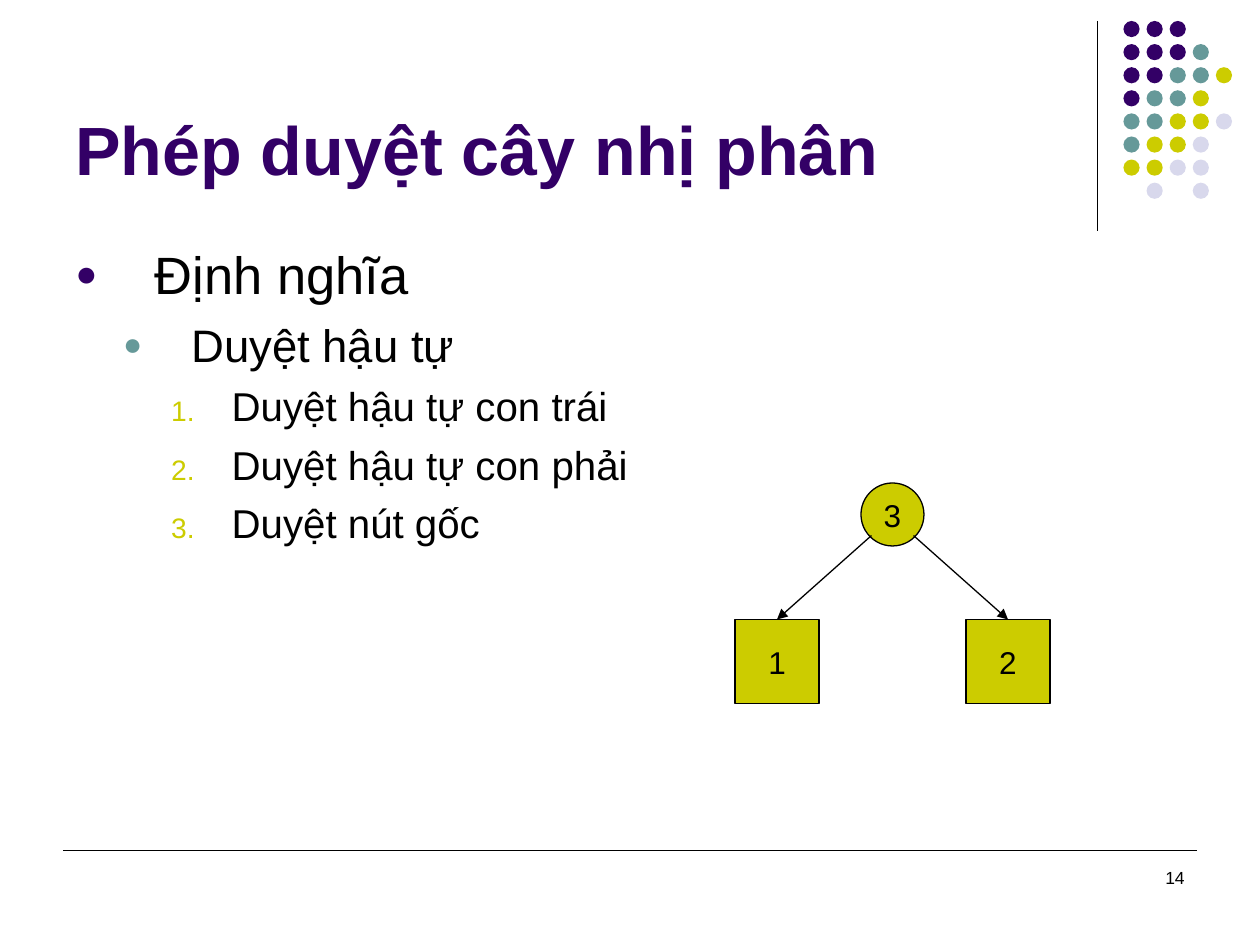
"""Build a slide on postorder traversal of a binary tree, on a 60 by 45 grid."""
from dataclasses import dataclass
from typing import Any, Optional

import lxml.etree
import pptx
import pptx.dml.color
import pptx.enum.shapes
import pptx.enum.text
import pptx.oxml.ns
import pptx.util

WIDE, HIGH = 10, 7.5
COLS = 60
FONT = "Arial"
BLACK, PLUM, TEAL, LIME, PALE = "000000", "330066", "669999", "CCCC00", "D8D8EC"
HUES = {"P": PLUM, "T": TEAL, "L": LIME, "W": PALE}
DOTS = ["PPP", "PPPT", "PPTTL", "PTTL", "TTLLW", "TLLW", "LLWW", " W W"]
STEP, SIZE = 1.1, 0.77
ALIGN = pptx.enum.text.PP_ALIGN
ANCHOR = pptx.enum.text.MSO_ANCHOR
SHAPE = pptx.enum.shapes.MSO_SHAPE


@dataclass
class Box:
    """A place on the grid, in columns and rows."""
    col: float
    row: float
    wide: float
    high: float


@dataclass
class Node:
    """A node of the tree."""
    text: str
    kind: Any
    box: Box


@dataclass
class Edge:
    """A straight line between two grid points."""
    col: float
    row: float
    end_col: float
    end_row: float
    arrow: bool = False


@dataclass
class Level:
    """The look of one outline level."""
    size: float
    left: float
    hang: float
    gap: float
    hue: str
    mark: Optional[str] = "●"


LEVELS = [
    Level(30, 0.63, 0.63, 7.5, PLUM),
    Level(26, 0.92, 0.54, 6.5, TEAL),
    Level(23, 1.24, 0.48, 5.8, LIME, None),
]
LINES = [
    (0, "Định nghĩa"),
    (1, "Duyệt hậu tự"),
    (2, "Duyệt hậu tự con trái"),
    (2, "Duyệt hậu tự con phải"),
    (2, "Duyệt nút gốc"),
]
NODES = [
    Node("3", SHAPE.OVAL, Box(41, 23, 3, 3)),
    Node("1", SHAPE.RECTANGLE, Box(35, 29.5, 4, 4)),
    Node("2", SHAPE.RECTANGLE, Box(46, 29.5, 4, 4)),
]
EDGES = [
    Edge(52.25, 1, 52.25, 11),
    Edge(3, 40.5, 57, 40.5),
    Edge(41.5, 25.5, 37, 29.5, True),
    Edge(43.5, 25.5, 48, 29.5, True),
]


def unit(count: float) -> int:
    """Turn grid cells into a length."""
    return pptx.util.Inches(count * WIDE / COLS)


def place(box: Box) -> list[int]:
    """Give left, top, width and height of a box."""
    return [unit(n) for n in (box.col, box.row, box.wide, box.high)]


def color(code: str) -> pptx.dml.color.RGBColor:
    """Turn a hex string into a colour."""
    return pptx.dml.color.RGBColor.from_string(code)


def child(parent: Any, tag: str, **attrs: str) -> Any:
    """Append a drawing element to a parent."""
    return lxml.etree.SubElement(parent, pptx.oxml.ns.qn(f"a:{tag}"), attrs)


def write(para: Any, text: str, size: float, hue: str = BLACK, bold: bool = False) -> None:
    """Add one run to a paragraph."""
    run = para.add_run()
    run.text = text
    run.font.name = FONT
    run.font.size = pptx.util.Pt(size)
    run.font.bold = bold
    run.font.color.rgb = color(hue)


def frame(slide: Any, box: Box, anchor: Any = ANCHOR.TOP) -> Any:
    """Add a wrapping text box and return its frame."""
    body = slide.shapes.add_textbox(*place(box)).text_frame
    body.word_wrap = True
    body.vertical_anchor = anchor
    return body


def solid(shapes: Any, kind: Any, box: Box, fill: str) -> Any:
    """Add a filled shape without line or shadow."""
    shape = shapes.add_shape(kind, *place(box))
    shape.shadow.inherit = False
    shape.fill.solid()
    shape.fill.fore_color.rgb = color(fill)
    shape.line.fill.background()
    return shape


def stroke(line: Any) -> None:
    """Set the thin black line."""
    line.color.rgb = color(BLACK)
    line.width = pptx.util.Pt(0.75)


def link(slide: Any, edge: Edge) -> None:
    """Draw a line, with an arrowhead if asked."""
    ends = [unit(n) for n in (edge.col, edge.row, edge.end_col, edge.end_row)]
    line = slide.shapes.add_connector(pptx.enum.shapes.MSO_CONNECTOR.STRAIGHT, *ends)
    stroke(line.line)
    if edge.arrow:
        child(line.line._get_or_add_ln(), "tailEnd", type="triangle")
    child(line._element.spPr, "effectLst")


def draw_node(slide: Any, node: Node) -> None:
    """Draw a node with its number."""
    shape = solid(slide.shapes, node.kind, node.box, LIME)
    stroke(shape.line)
    body = shape.text_frame
    body.word_wrap = False
    body.vertical_anchor = ANCHOR.MIDDLE
    body.paragraphs[0].alignment = ALIGN.CENTER
    write(body.paragraphs[0], node.text, 18)


def draw_dots(slide: Any) -> None:
    """Draw the grouped dots of the corner."""
    group = slide.shapes.add_group_shape()
    for row, line in enumerate(DOTS):
        for col, key in enumerate(line):
            if key in HUES:
                spot = Box(53.5 + col * STEP, 1 + row * STEP, SIZE, SIZE)
                solid(group.shapes, SHAPE.OVAL, spot, HUES[key])


def item(para: Any, depth: int, text: str) -> None:
    """Write one outline line with its bullet or number."""
    level = LEVELS[depth]
    para.level = depth
    para.space_before = pptx.util.Pt(level.gap)
    props = para._p.get_or_add_pPr()
    props.set("marL", str(pptx.util.Inches(level.left)))
    props.set("indent", str(-pptx.util.Inches(level.hang)))
    child(child(props, "buClr"), "srgbClr", val=level.hue)
    child(props, "buSzPct", val="70000")
    child(props, "buFont", typeface=FONT)
    if level.mark:
        child(props, "buChar", char=level.mark)
    else:
        child(props, "buAutoNum", type="arabicPeriod")
    write(para, text, level.size)


def main() -> None:
    """Build and save the slide."""
    deck = pptx.Presentation()
    deck.slide_width = pptx.util.Inches(WIDE)
    deck.slide_height = pptx.util.Inches(HIGH)
    slide = deck.slides.add_slide(deck.slide_layouts[6])
    draw_dots(slide)
    page = frame(slide, Box(43, 41, 14, 3)).paragraphs[0]
    page.alignment = ALIGN.RIGHT
    write(page, "14", 10)
    title = frame(slide, Box(3, 0.8, 49.5, 8.5), ANCHOR.BOTTOM)
    write(title.paragraphs[0], "Phép duyệt cây nhị phân", 39, PLUM, True)
    body = frame(slide, Box(3, 11.25, 54, 29))
    for pos, (depth, text) in enumerate(LINES):
        item(body.add_paragraph() if pos else body.paragraphs[0], depth, text)
    for node in NODES:
        draw_node(slide, node)
    for edge in EDGES:
        link(slide, edge)
    deck.save("out.pptx")


if __name__ == "__main__":
    main()
